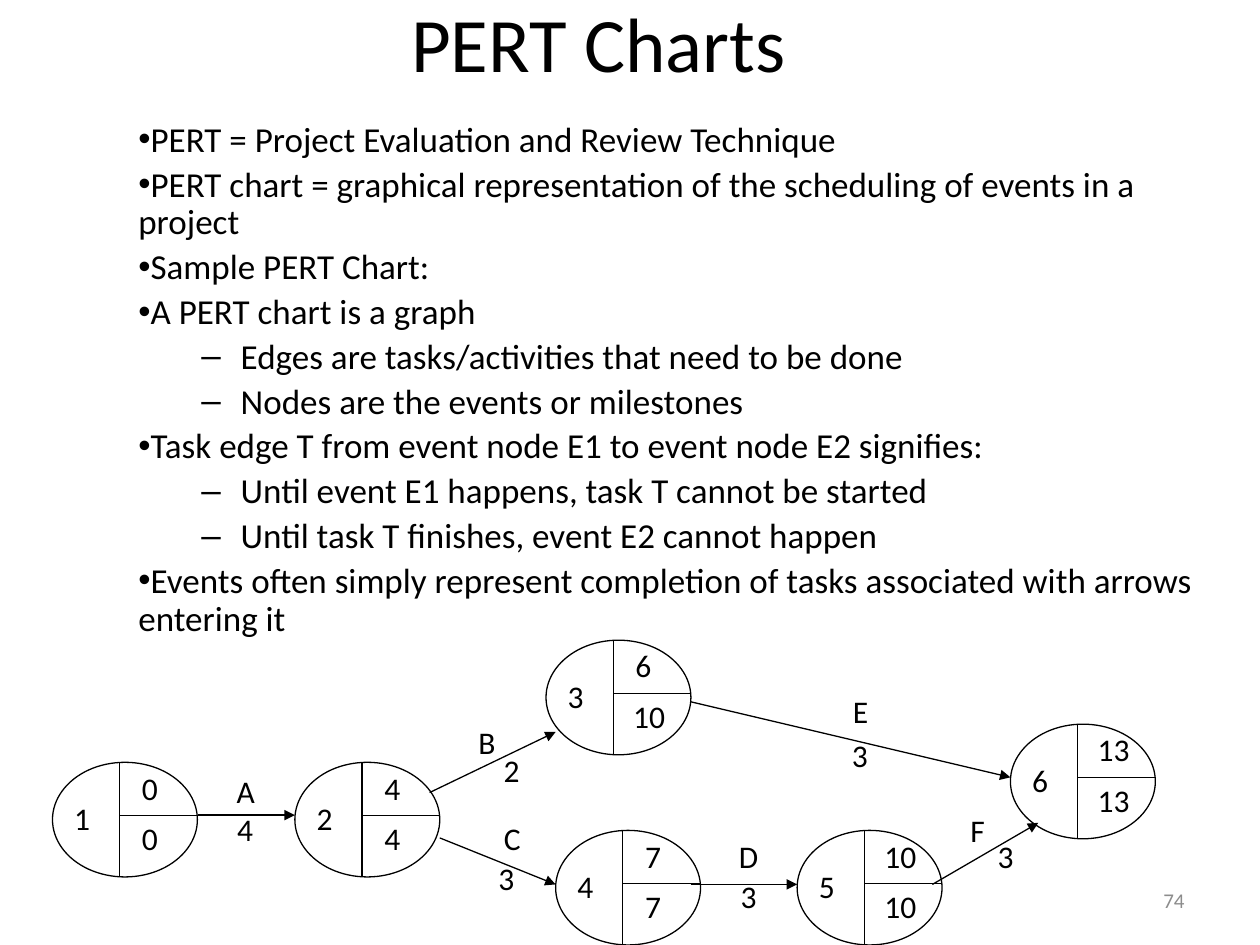
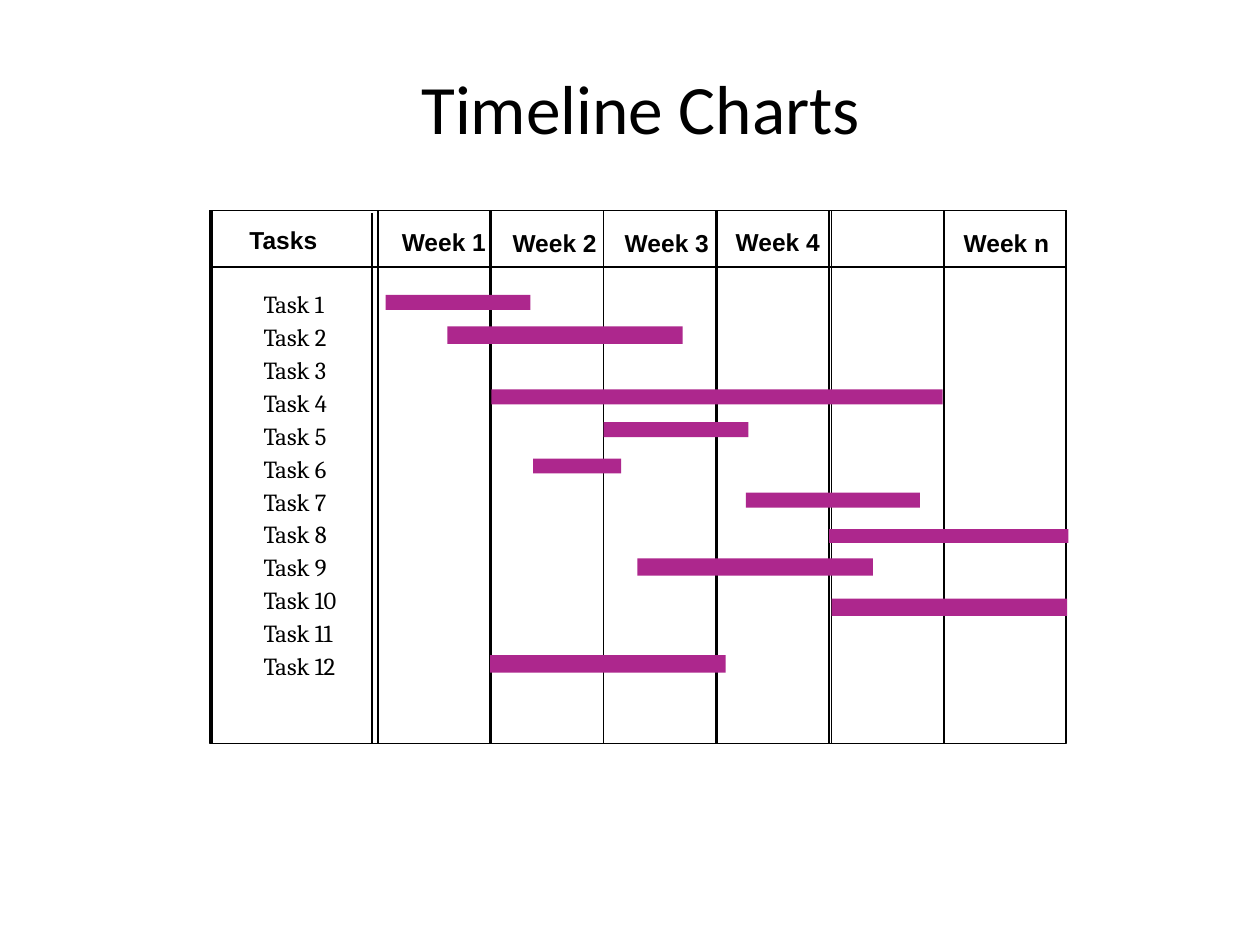
from lxml import etree
from pptx import Presentation
from pptx.dml.color import RGBColor
from pptx.enum import shapes as sh, text as tx
from pptx.oxml.ns import qn
from pptx.util import Pt

BLACK = RGBColor(0, 0, 0)
WHITE = RGBColor(255, 255, 255)
GRAY = RGBColor(0x8C, 0x8C, 0x8C)
PURPLE = RGBColor(0xAD, 0x27, 0x8D)
SANS = "Calibri"
CENTER = tx.PP_ALIGN.CENTER


def label(slide, words, x, y, w, size=18, face=SANS, color=BLACK, align=CENTER):
    """Add a one-line text box and return its paragraph."""
    frame = slide.shapes.add_textbox(Pt(x), Pt(y), Pt(w), Pt(size + 11)).text_frame
    frame.word_wrap = True
    para = frame.paragraphs[0]
    para.text = words
    para.alignment = align
    para.font.size = Pt(size)
    para.font.name = face
    para.font.color.rgb = color
    return para


def link(slide, x1, y1, x2, y2, width=0.75, arrow=False):
    """Add a straight black line, with an arrowhead at its end if asked."""
    line = slide.shapes.add_connector(
        sh.MSO_CONNECTOR.STRAIGHT, Pt(x1), Pt(y1), Pt(x2), Pt(y2))
    line.line.color.rgb = BLACK
    line.line.width = Pt(width)
    props = line._element.spPr
    if arrow:
        etree.SubElement(props.find(qn("a:ln")), qn("a:tailEnd"), type="triangle")
    etree.SubElement(props, qn("a:effectLst"))


deck = Presentation()
deck.slide_width, deck.slide_height = Pt(720), Pt(540)

# Titles: words, left, top, width, height, size
TITLES = [
    ("PERT Charts", 18, -12.2, 648, 72, 44),
    ("Timeline Charts", 102.2, 36, 528, 49.7, 39.6),
]
for words, x, y, w, h, size in TITLES:
    title = deck.slides.add_slide(deck.slide_layouts[5]).shapes.title
    title.left, title.top, title.width, title.height = Pt(x), Pt(y), Pt(w), Pt(h)
    frame = title.text_frame
    frame.text = words
    frame.auto_size = tx.MSO_AUTO_SIZE.NONE
    frame.vertical_anchor = tx.MSO_ANCHOR.MIDDLE
    para = frame.paragraphs[0]
    para.alignment = CENTER
    para.font.size = Pt(size)
    para.font.name = SANS
    para.font.color.rgb = BLACK
pert, plan = deck.slides

# PERT slide: bullets
label(pert, "74", 516.2, 503.9, 167.8, 12, color=GRAY, align=tx.PP_ALIGN.RIGHT)
POINTS = [
    (0, "PERT = Project Evaluation and Review Technique"),
    (0, "PERT chart = graphical representation of the scheduling of events in a project"),
    (0, "Sample PERT Chart:"),
    (0, "A PERT chart is a graph"),
    (1, "Edges are tasks/activities that need to be done"),
    (1, "Nodes are the events or milestones"),
    (0, "Task edge T from event node E1 to event node E2 signifies:"),
    (1, "Until event E1 happens, task T cannot be started"),
    (1, "Until task T finishes, event E2 cannot happen"),
    (0, "Events often simply represent completion of tasks associated "
        "with arrows entering it"),
]
frame = pert.shapes.add_textbox(Pt(72), Pt(66.2), Pt(624.2), Pt(378)).text_frame
frame.word_wrap = True
for i, (level, words) in enumerate(POINTS):
    para = frame.add_paragraph() if i else frame.paragraphs[0]
    para.text = words
    para.level = level
    props = para._p.get_or_add_pPr()
    props.set("marL", str(Pt(58.5 * level)))
    props.set("indent", str(Pt(-22.5 * level)))
    etree.SubElement(props, qn("a:buFont"), typeface="Arial")
    etree.SubElement(props, qn("a:buChar"), char="•–"[level])
    para.line_spacing = 0.9
    para.space_before = Pt(4 if i else 0)
    para.font.size = Pt(20)
    para.font.name = SANS
    para.font.color.rgb = BLACK

# Event nodes: left, top, upper value, lower value
NODES = [
    (30, 435.6, "0", "0"),
    (168.5, 435.6, "4", "4"),
    (312, 365.8, "6", "10"),
    (317.5, 474.5, "7", "7"),
    (455.5, 474.5, "10", "10"),
    (577.4, 413.8, "13", "13"),
]
NODE_W, NODE_H, SPLIT_X, SPLIT_Y = 82.8, 65.5, 38.4, 30.5
for number, (x, y, early, late) in enumerate(NODES, 1):
    node = pert.shapes.add_shape(
        sh.MSO_SHAPE.OVAL, Pt(x), Pt(y), Pt(NODE_W), Pt(NODE_H))
    node.shadow.inherit = False
    node.fill.solid()
    node.fill.fore_color.rgb = WHITE
    node.line.color.rgb = BLACK
    node.line.width = Pt(0.75)
    link(pert, x + SPLIT_X, y, x + SPLIT_X, y + NODE_H)
    link(pert, x + SPLIT_X, y + SPLIT_Y, x + NODE_W, y + SPLIT_Y)
    label(pert, str(number), x + 5.3, y + 17.5, 22.3)
    for words, drop in ((early, 0), (late, 29)):
        dx, w = (44, 22.3) if len(words) == 1 else (39.5, 39)
        label(pert, words, x + dx, y + drop, w)

# Task edges: ends, then words with centre and top of each label
EDGES = [
    ((113, 465.8, 168.5, 465.8), ("A", 140.4, 437.8), ("4", 140, 459.4)),
    ((245.5, 452.9, 317.5, 418.3), ("B", 278.3, 409.7), ("2", 292.3, 425.5)),
    ((251.3, 478.8, 317.5, 505.4), ("C", 292.7, 464.4), ("3", 289.4, 487.4)),
    ((394.6, 505.4, 455.5, 505.4), ("D", 427.7, 474.5), ("3", 427.7, 497.5)),
    ((394.6, 401, 577.4, 444.2), ("E", 491.8, 391.7), ("3", 491.4, 416.9)),
    ((532.8, 505.4, 593.3, 470.2), ("F", 558.7, 460), ("3", 574.6, 474.5)),
]
for ends, *marks in EDGES:
    link(pert, *ends, arrow=True)
    for words, mid, y in marks:
        label(pert, words, mid - 20, y, 40)

# Timeline slide: frames and bars as left, top, width, height
LEFT, TOP, WIDE, HIGH = 120.2, 120.3, 488.9, 304.6
WEEKS = [216, 280.8, 344.9, 409.7, 475.2]
frames = [(LEFT, TOP, WIDE, HIGH), (LEFT, TOP, WIDE, 32.4), (121, TOP, 95, HIGH)]
frames += [(x, TOP, 64.1, HIGH) for x in WEEKS]
BARS = [
    (220.3, 168.5, 82.8, 8.6),
    (255.6, 186.5, 134.6, 10),
    (280.8, 222.5, 257.8, 8.6),
    (344.9, 241.2, 82.8, 8.6),
    (304.6, 262, 50.4, 8.6),
    (426.2, 281.5, 99.4, 8.6),
    (473.8, 302.4, 136.8, 7.9),
    (364.3, 319, 134.6, 10),
    (475.2, 342, 134.6, 10),
    (280.1, 374.4, 134.6, 10),
]
for i, rect in enumerate(frames + BARS):
    box = plan.shapes.add_shape(sh.MSO_SHAPE.RECTANGLE, *map(Pt, rect))
    box.shadow.inherit = False
    if i < len(frames):
        box.fill.background()
        box.line.color.rgb = BLACK
        box.line.width = Pt(1)
    else:
        box.fill.solid()
        box.fill.fore_color.rgb = PURPLE
        box.line.fill.background()
link(plan, 212.4, 121.7, 212.4, 424.8, 1)

HEADS = [("Tasks", 135.4, 126.7), ("Week 1", 222.5, 128.2), ("Week 2", 285.8, 128.9),
         ("Week 3", 349.9, 128.9), ("Week 4", 413.3, 128.2), ("Week n", 543.6, 128.9)]
for words, x, y in HEADS:
    para = label(plan, words, x, y, 70, 14, "Arial", align=tx.PP_ALIGN.LEFT)
    para.line_spacing = 0.9
    para.font.bold = True
for i in range(12):
    para = label(plan, f"Task {i + 1}", 143.6, 163.6 + 18.8 * i, 70, 14, "Cambria",
                 align=tx.PP_ALIGN.LEFT)
    para.line_spacing = 0.9

deck.save("out.pptx")
